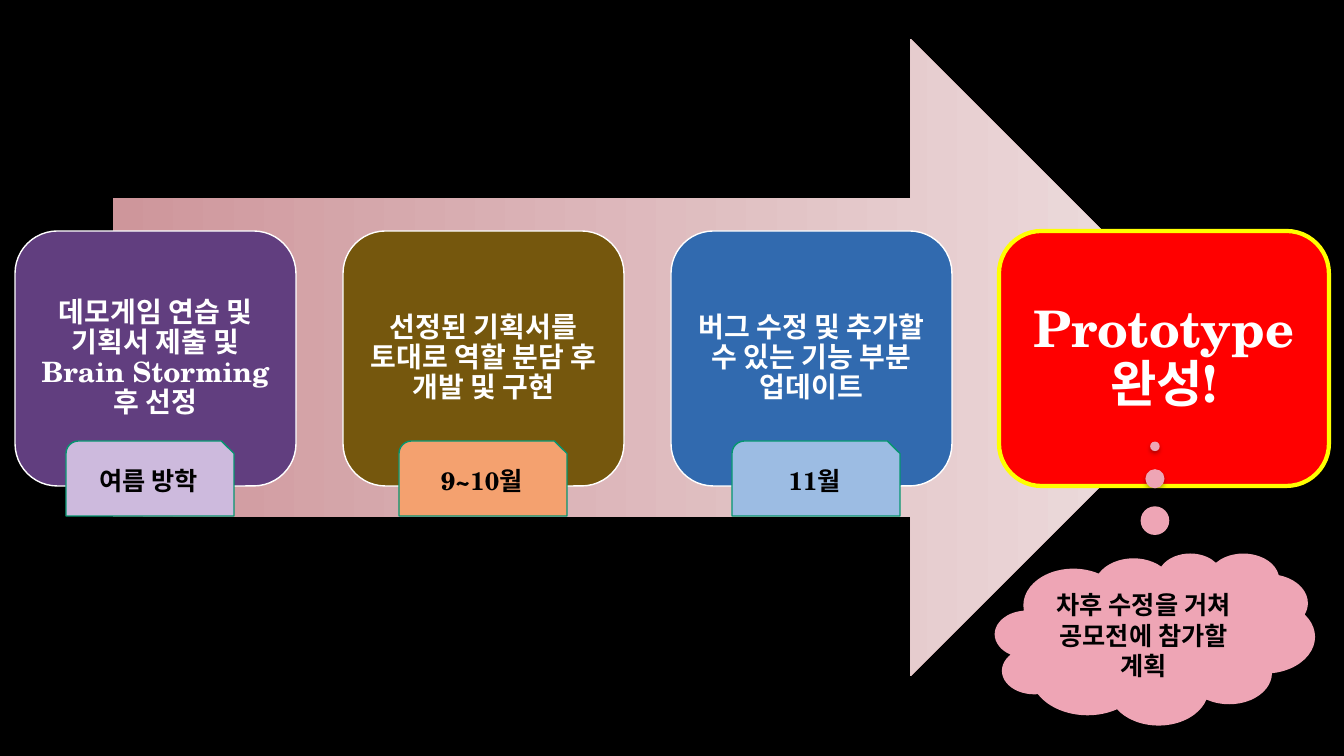
from lxml import etree
from pptx import Presentation
from pptx.dml.color import RGBColor
from pptx.enum.shapes import MSO_SHAPE as Preset
from pptx.enum.text import MSO_ANCHOR as Anchor, PP_ALIGN as Align
from pptx.oxml.ns import qn
from pptx.util import Pt

PX = 914400 / 100.8
FONT = "TeX Gyre Schola"
COLORS = {
    "background": "000000", "arrow_start": "CE969B", "arrow_end": "EFE1E2",
    "white": "FFFFFF", "black": "000000", "tab_line": "059670",
    "purple": "613E7F", "brown": "75570D", "blue": "316AAF",
    "red": "FF0000", "yellow": "FFFF00",
    "lilac": "CDBADD", "orange": "F4A16F", "sky": "9CBCE3", "pink": "EEA5B5",
}


def rgb(name):
    return RGBColor.from_string(COLORS[name])


def add_block(preset, box, fill, line, width, text, size, color):
    block = slide.shapes.add_shape(preset, *[round(v * PX) for v in box])
    block.shadow.inherit = False
    block.fill.solid()
    block.fill.fore_color.rgb = rgb(fill)
    if line:
        block.line.color.rgb = rgb(line)
        block.line.width = Pt(width)
    else:
        block.line.fill.background()
    frame = block.text_frame
    frame.word_wrap = True
    frame.vertical_anchor = Anchor.MIDDLE
    frame.text = text
    paragraph = frame.paragraphs[0]
    paragraph.alignment = Align.CENTER
    font = paragraph.runs[0].font
    font.name, font.size, font.bold = FONT, Pt(size), True
    font.color.rgb = rgb(color)
    return block


prs = Presentation()
prs.slide_width = round(1344 * PX)
prs.slide_height = round(756 * PX)
slide = prs.slides.add_slide(prs.slide_layouts[6])
slide.background.fill.solid()
slide.background.fill.fore_color.rgb = rgb("background")

arrow = slide.shapes.add_shape(
    Preset.RIGHT_ARROW, *[round(v * PX) for v in (113, 39, 1116, 637)])
arrow.shadow.inherit = False
arrow.line.fill.background()
arrow.fill.gradient()
arrow.fill.gradient_angle = 0
for stop, name, position in zip(
        arrow.fill.gradient_stops, ("arrow_start", "arrow_end"), (0, 1)):
    stop.color.rgb = rgb(name)
    stop.position = position

stages = [
    ("데모게임 연습 및 기획서 제출 및 Brain Storming 후 선정", 281, "purple", "white", 1, 20, 8),
    ("선정된 기획서를 토대로 역할 분담 후 개발 및 구현", 281, "brown", "white", 1, 20, 8),
    ("버그 수정 및 추가할 수 있는 기능 부분 업데이트", 281, "blue", "white", 1, 20, 8),
    ("Prototype 완성!", 330, "red", "yellow", 3, 36, 15),
]
for i, (text, width, fill, line, weight, size, inset) in enumerate(stages):
    card = add_block(Preset.ROUNDED_RECTANGLE, (15 + 328 * i, 231, width, 255),
                     fill, line, weight, text, size, "white")
    frame = card.text_frame
    frame.margin_left = frame.margin_right = round(inset * PX)
    frame.margin_top = frame.margin_bottom = round(inset * PX)
    frame.paragraphs[0].line_spacing = 0.9

periods = [("여름 방학", "lilac"), ("9~10월", "orange"), ("11월", "sky")]
for i, (text, fill) in enumerate(periods):
    add_block(Preset.SNIP_ROUND_RECTANGLE, (66 + 333 * i, 441, 168, 75),
              fill, "tab_line", 1, text, 18, "black")

plan = add_block(Preset.CLOUD_CALLOUT, (995, 553, 320, 172), "pink", None, 0,
                 "차후 수정을 거쳐 공모전에 참가할 계획", 18, "black")
plan.adjustments[0] = 0
plan.adjustments[1] = -1.12
effects = plan.element.spPr.find(qn("a:effectLst"))
shadow = etree.SubElement(effects, qn("a:outerShdw"), blurRad=str(Pt(3.5)),
                          dist=str(Pt(2.2)), dir="5400000", rotWithShape="0")
shade = etree.SubElement(shadow, qn("a:srgbClr"), val=COLORS["black"])
etree.SubElement(shade, qn("a:alpha"), val="32000")

prs.save("out.pptx")
